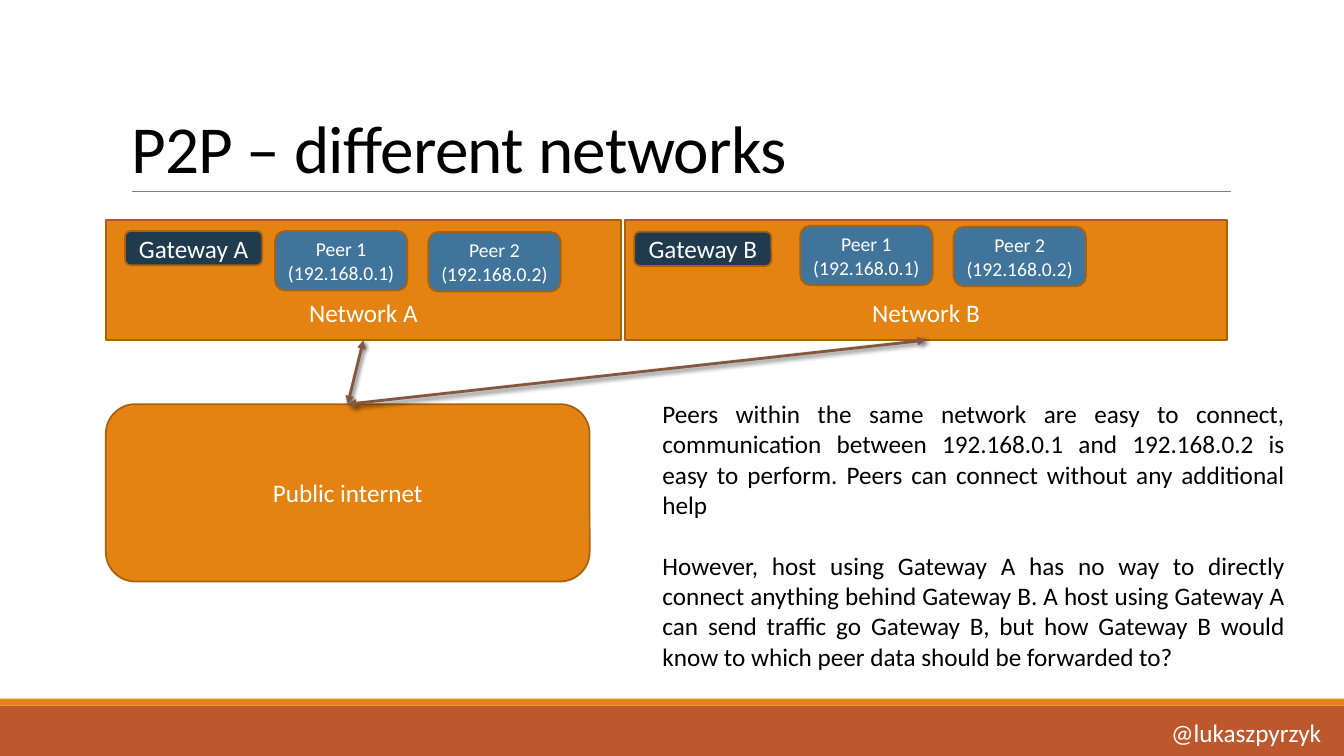
from lxml import etree
from pptx import Presentation
from pptx.dml.color import RGBColor
from pptx.enum import shapes, text
from pptx.oxml import ns
from pptx.util import Pt

ORANGE, RUST, BROWN = "E48312", "BD582C", "A9610D"
NAVY, BLUE = "203A4E", "40749B"
WHITE, BLACK = "FFFFFF", "000000"
RECT = shapes.MSO_SHAPE.RECTANGLE
ROUNDED = shapes.MSO_SHAPE.ROUNDED_RECTANGLE
TOP, BOTTOM = 0, 2  # connection sites of a rectangle
PARAGRAPHS = (
    "Peers within the same network are easy to connect, communication between "
    "192.168.0.1 and 192.168.0.2 is easy to perform. Peers can connect without "
    "any additional help",
    "However, host using Gateway A has no way to directly connect anything behind "
    "Gateway B. A host using Gateway A can send traffic go Gateway B, but how "
    "Gateway B would know to which peer data should be forwarded to?",
)


def rgb(value):
    """Turn a hex string into a colour."""
    return RGBColor.from_string(value)


def add_run(p, words, size, color):
    """Add one formatted run to a paragraph."""
    r = p.add_run()
    r.text = words
    r.font.name, r.font.size = "Calibri", Pt(size)
    r.font.color.rgb = rgb(color)
    return r


def place(sp, left, top, width, height):
    """Move and size a placeholder."""
    sp.left, sp.top, sp.width, sp.height = map(Pt, (left, top, width, height))


def add_box(s, kind, left, top, width, height, fill, line=None):
    """Add a filled preset shape, outlined if a line colour is given."""
    sp = s.shapes.add_shape(kind, Pt(left), Pt(top), Pt(width), Pt(height))
    sp.shadow.inherit = False
    sp.fill.solid()
    sp.fill.fore_color.rgb = rgb(fill)
    if line:
        sp.line.color.rgb = rgb(line)
        sp.line.width = Pt(1.25)
    else:
        sp.line.fill.background()
    return sp


def add_label(sp, words, size=18, anchor=text.MSO_ANCHOR.MIDDLE):
    """Write centred white text in a shape."""
    tf = sp.text_frame
    tf.word_wrap, tf.vertical_anchor = True, anchor
    p = tf.paragraphs[0]
    p.alignment = text.PP_ALIGN.CENTER
    add_run(p, words, size, WHITE)


def add_network(s, name, left, width, gateway, peers):
    """Add a network with its gateway and two peers; return the network."""
    network = add_box(s, RECT, left, 157, width, 86, ORANGE, BROWN)
    network.text_frame.margin_bottom = Pt(9)
    add_label(network, f"Network {name}", anchor=text.MSO_ANCHOR.BOTTOM)
    sp = add_box(s, ROUNDED, *gateway, 98, 24.5, NAVY, BROWN)
    add_label(sp, f"Gateway {name}")
    peer_left, peer_top = peers
    for i in range(2):
        sp = add_box(s, ROUNDED, peer_left + 109.5 * i, peer_top + 0.7 * i,
                     94.5, 42.5, BLUE, BROWN)
        add_label(sp, f"Peer {i + 1} (192.168.0.{i + 1})", 14)
    return network


def add_line(s, color, width, ends=(0, 0, 0, 0)):
    """Add a straight connector without the theme's effects."""
    line = s.shapes.add_connector(shapes.MSO_CONNECTOR.STRAIGHT, *map(Pt, ends))
    line.line.color.rgb = rgb(color)
    line.line.width = Pt(width)
    etree.SubElement(line._element.spPr, ns.qn("a:effectLst"))
    return line


def add_link(s, network, internet):
    """Join a network and the internet with a shadowed double arrow."""
    link = add_line(s, "865640", 2)
    link.begin_connect(network, BOTTOM)
    link.end_connect(internet, TOP)
    ln = link.line._get_or_add_ln()
    for end in ("a:headEnd", "a:tailEnd"):
        etree.SubElement(ln, ns.qn(end), type="triangle")
    effects = link._element.spPr.find(ns.qn("a:effectLst"))
    shadow = etree.SubElement(effects, ns.qn("a:outerShdw"), blurRad=str(Pt(3)),
                              dist=str(Pt(2)), dir="2700000", rotWithShape="0")
    color = etree.SubElement(shadow, ns.qn("a:srgbClr"), val=BLACK)
    etree.SubElement(color, ns.qn("a:alpha"), val="60000")


def set_title(sp, words):
    """Fill and format the title placeholder."""
    place(sp, 86.4, 22.5, 792, 114.5)
    tf = sp.text_frame
    tf.word_wrap, tf.vertical_anchor = True, text.MSO_ANCHOR.BOTTOM
    tf.auto_size = text.MSO_AUTO_SIZE.NONE
    p = tf.paragraphs[0]
    p.alignment, p.line_spacing = text.PP_ALIGN.LEFT, 0.85
    r = add_run(p, words, 48, BLACK)
    r.font._element.set("spc", "-50")


def set_body(sp, paragraphs):
    """Fill the body placeholder with justified text without bullets."""
    place(sp, 466, 281, 459, 204)
    tf = sp.text_frame
    tf.word_wrap, tf.auto_size = True, text.MSO_AUTO_SIZE.NONE
    for i, words in enumerate(paragraphs):
        p = tf.add_paragraph() if i else tf.paragraphs[0]
        p.alignment = text.PP_ALIGN.JUSTIFY
        p.space_before = Pt(22 * i)
        pPr = p._p.get_or_add_pPr()
        pPr.set("marL", "0")
        pPr.set("indent", "0")
        etree.SubElement(pPr, ns.qn("a:buNone"))
        add_run(p, words, 18, BLACK)


def add_handle(s, words):
    """Add the speaker's handle to the footer."""
    sp = s.shapes.add_textbox(Pt(829.5), Pt(509), Pt(122), Pt(29))
    sp.text_frame.word_wrap = False
    add_run(sp.text_frame.paragraphs[0], words, 18, WHITE)


def main():
    """Build the slide and save it."""
    prs = Presentation()
    prs.slide_width, prs.slide_height = Pt(960), Pt(540)
    s = prs.slides.add_slide(prs.slide_layouts[1])
    set_title(s.shapes.title, "P2P – different networks")
    set_body(s.placeholders[1], PARAGRAPHS)

    add_box(s, RECT, 0, 504, 960, 36, RUST)
    add_box(s, RECT, 0, 499, 960, 5, ORANGE)
    add_line(s, "808080", 0.5, (94.3, 136.8, 879, 136.8))
    add_handle(s, "@lukaszpyrzyk")

    networks = [
        add_network(s, "A", 75.6, 368, (89.3, 165), (196.5, 165)),
        add_network(s, "B", 446.4, 430, (453, 165.5), (571.7, 161.3)),
    ]
    internet = add_box(s, ROUNDED, 75.6, 288.7, 345.6, 126.7, ORANGE, BROWN)
    add_label(internet, "Public internet")
    for network in networks:
        add_link(s, network, internet)

    prs.save("out.pptx")


main()
